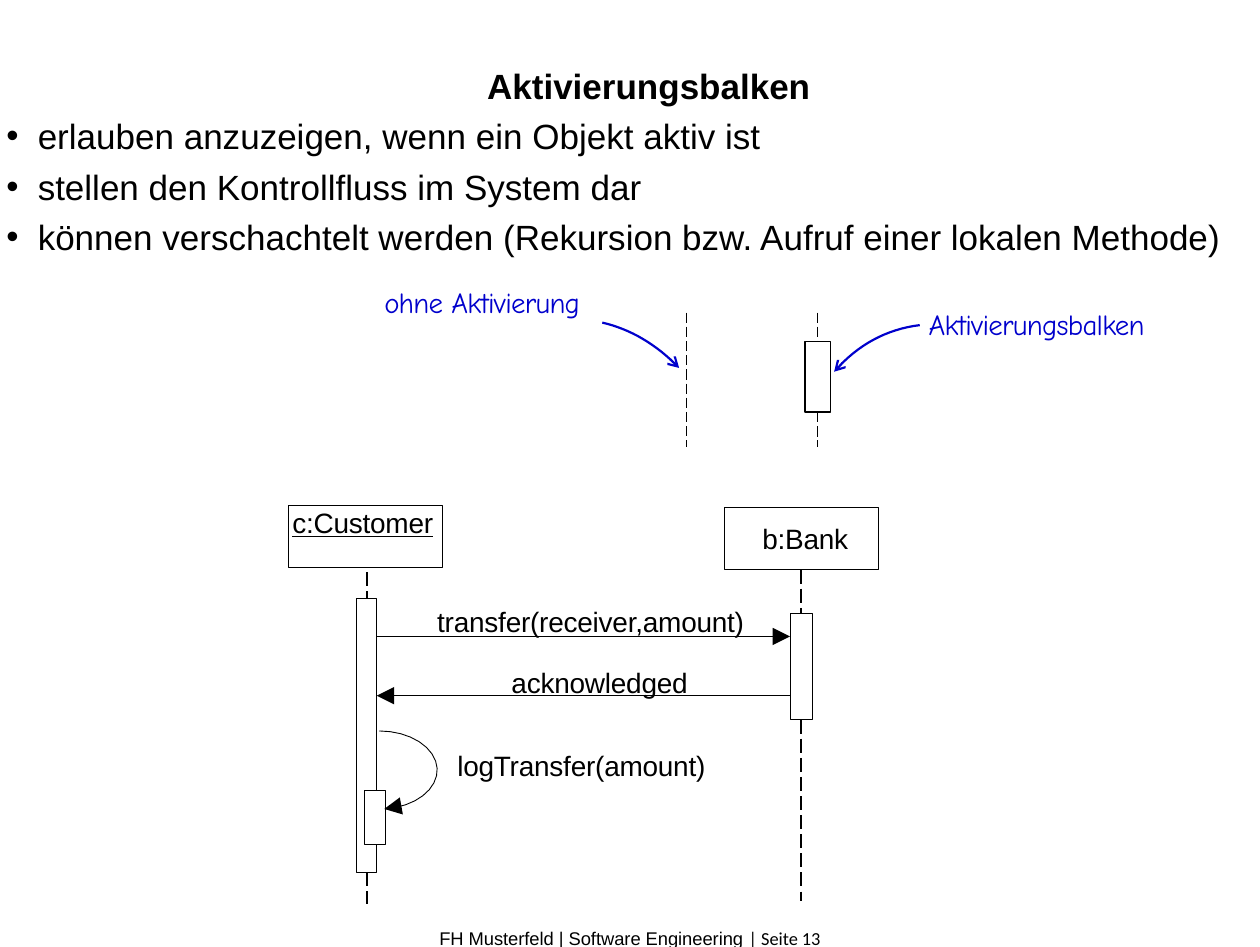
import math

from lxml import etree
from pptx import Presentation
from pptx.dml.color import RGBColor
from pptx.enum import dml, shapes as kinds, text
from pptx.oxml.ns import qn
from pptx.util import Inches, Pt

BLACK = RGBColor(0, 0, 0)
WHITE = RGBColor(255, 255, 255)
BLUE = RGBColor(0, 0, 0xCC)

TOP, BOTTOM = 0, 2
CURVE_STEPS = 16


def place(shape, left, top, width, height):
    shape.left, shape.top = Inches(left), Inches(top)
    shape.width, shape.height = Inches(width), Inches(height)


def prepare_frame(shape, inset=0, anchor=text.MSO_ANCHOR.TOP):
    frame = shape.text_frame
    frame.margin_left = Inches(inset)
    frame.margin_right = frame.margin_top = frame.margin_bottom = 0
    frame.word_wrap = True
    frame.vertical_anchor = anchor
    return frame


def set_font(font, size, name="Arial", color=BLACK):
    font.size, font.name = Pt(size), name
    font.color.rgb = color


def set_tracking(para, points):
    """Set the letter spacing of a paragraph whose font is already set."""
    defaults = para._p.pPr.find(qn("a:defRPr"))
    defaults.set("spc", str(round(points * 100)))


def set_line(line, width, color=BLACK):
    line.width = Pt(width)
    line.color.rgb = color


def add_arrowhead(line, head, size):
    """Put an arrowhead at the end of a line."""
    properties = line._get_or_add_ln()
    etree.SubElement(properties, qn("a:tailEnd"), type=head, w=size, len=size)


def add_title(slide, wording):
    title = slide.shapes.title
    place(title, 0.04, 0.51, 10.22, 0.32)
    frame = prepare_frame(title)
    frame.text = wording
    para = frame.paragraphs[0]
    para.alignment = text.PP_ALIGN.CENTER
    set_font(para.font, 20)
    para.font.bold = True


def add_bullets(slide, lines):
    box = slide.shapes.add_textbox(0, 0, 0, 0)
    place(box, 0.04, 0.91, 9.9, 1.15)
    frame = prepare_frame(box)
    frame.text = "\n".join(lines)
    for para in frame.paragraphs:
        set_font(para.font, 20)
        para.space_after = Pt(4.8)
        properties = para._p.get_or_add_pPr()
        properties.set("marL", str(Inches(0.26)))
        properties.set("indent", str(Inches(-0.25)))
        typeface = etree.Element(qn("a:buFont"), typeface="Arial")
        properties.find(qn("a:spcAft")).addnext(typeface)
        typeface.addnext(etree.Element(qn("a:buChar"), char="•"))


def add_label(slide, wording, left, top, width,
              size=16, name="Arial", color=BLACK, tracking=-0.1):
    box = slide.shapes.add_textbox(0, 0, 0, 0)
    place(box, left, top, width, 0.26)
    frame = prepare_frame(box)
    frame.text = wording
    para = frame.paragraphs[0]
    set_font(para.font, size, name, color)
    set_tracking(para, tracking)


def add_footer(slide):
    box = slide.shapes.add_textbox(0, 0, 0, 0)
    place(box, 0, 7.36, 10, 0.31)
    para = prepare_frame(box).paragraphs[0]
    para.alignment = text.PP_ALIGN.CENTER
    for wording, name in (("FH Musterfeld | Software Engineering ", "Arial"),
                          ("| Seite 13", "Calibri")):
        span = para.add_run()
        span.text = wording
        set_font(span.font, 10.5, name)


def add_rectangle(slide, left, top, width, height, line_width=0.5):
    box = slide.shapes.add_shape(kinds.MSO_SHAPE.RECTANGLE, 0, 0, 0, 0)
    place(box, left, top, width, height)
    box.shadow.inherit = False
    box.fill.solid()
    box.fill.fore_color.rgb = WHITE
    set_line(box.line, line_width)
    return box


def add_participant(slide, wording, left, top, inset, anchor, underline=False):
    box = add_rectangle(slide, left, top, 1.22, 0.49)
    frame = prepare_frame(box, inset, anchor)
    frame.text = wording
    para = frame.paragraphs[0]
    para.alignment = text.PP_ALIGN.LEFT
    set_font(para.font, 16)
    para.font.underline = underline
    set_tracking(para, -0.1)
    return box


def add_line(slide, start, end, width):
    points = [Inches(value) for value in (*start, *end)]
    line = slide.shapes.add_connector(kinds.MSO_CONNECTOR.STRAIGHT, *points)
    set_line(line.line, width)
    etree.SubElement(line._element.spPr, qn("a:effectLst"))
    return line


def add_lifeline(slide, x, top, bottom, width=1, above=None, below=None):
    """Draw a dashed vertical line, joined to the boxes above and below it."""
    line = add_line(slide, (x, top), (x, bottom), width)
    line.line.dash_style = dml.MSO_LINE.LONG_DASH
    if above is not None:
        line.begin_connect(above, BOTTOM)
    if below is not None:
        line.end_connect(below, TOP)


def add_message(slide, start_x, end_x, y):
    line = add_line(slide, (start_x, y), (end_x, y), 0.5)
    add_arrowhead(line.line, "triangle", "lg")


def add_curved_arrow(slide, points, width, color, head, size):
    scaled = [(Inches(x), Inches(y)) for x, y in points]
    builder = slide.shapes.build_freeform(*scaled[0])
    builder.add_line_segments(scaled[1:], close=False)
    curve = builder.convert_to_shape()
    curve.shadow.inherit = False
    curve.fill.background()
    set_line(curve.line, width, color)
    add_arrowhead(curve.line, head, size)


def bend(start, control, end):
    """Points of a quadratic Bézier curve."""
    steps = [step / CURVE_STEPS for step in range(CURVE_STEPS + 1)]
    return [tuple((1 - t) ** 2 * a + 2 * t * (1 - t) * b + t * t * c
                  for a, b, c in zip(start, control, end)) for t in steps]


def half_ellipse(x, y, radius_x, radius_y):
    """Points from the top of an ellipse round its right side to near its bottom."""
    angles = [math.radians(-90 + 175 * step / CURVE_STEPS)
              for step in range(CURVE_STEPS + 1)]
    return [(x + radius_x * math.cos(a), y + radius_y * math.sin(a)) for a in angles]


def add_notation_example(slide):
    add_lifeline(slide, 5.45, 2.48, 3.55, 0.75)
    bar = add_rectangle(slide, 6.39, 2.71, 0.2, 0.56, 0.75)
    add_lifeline(slide, 6.49, 2.48, 2.71, 0.75, below=bar)
    add_lifeline(slide, 6.49, 3.27, 3.55, 0.75, above=bar)
    for wording, left, top, width, curve in (
            ("ohne Aktivierung", 3.05, 2.26, 1.77,
             bend((4.78, 2.56), (5.12, 2.64), (5.39, 2.92))),
            ("Aktivierungsbalken", 7.37, 2.43, 2,
             bend((7.3, 2.58), (6.9, 2.63), (6.62, 2.95)))):
        add_label(slide, wording, left, top, width, 16.5, "Comic Neue", BLUE, -0.4)
        add_curved_arrow(slide, curve, 1.25, BLUE, "arrow", "med")


def add_sequence_diagram(slide):
    add_participant(slide, "c:Customer", 2.29, 4.01, 0.03,
                    text.MSO_ANCHOR.TOP, underline=True)
    bank = add_participant(slide, "b:Bank", 5.75, 4.03, 0.3, text.MSO_ANCHOR.MIDDLE)
    customer_bar = add_rectangle(slide, 2.83, 4.75, 0.16, 2.17)
    bank_bar = add_rectangle(slide, 6.27, 4.87, 0.18, 0.84)
    add_lifeline(slide, 2.91, 4.54, 4.75, below=customer_bar)
    add_lifeline(slide, 2.91, 6.92, 7.17, above=customer_bar)
    add_lifeline(slide, 6.36, 4.52, 4.87, above=bank, below=bank_bar)
    add_lifeline(slide, 6.36, 5.71, 7.15, above=bank_bar)

    add_message(slide, 2.99, 6.27, 5.05)
    add_message(slide, 6.27, 2.99, 5.52)
    add_rectangle(slide, 2.89, 6.27, 0.17, 0.43)
    add_curved_arrow(slide, half_ellipse(3.01, 6.11, 0.46, 0.31),
                     0.5, BLACK, "triangle", "lg")
    for wording, left, top in (("transfer(receiver,amount)", 3.47, 4.8),
                               ("acknowledged", 4.06, 5.28),
                               ("logTransfer(amount)", 3.63, 5.94)):
        add_label(slide, wording, left, top, 2.6)


def main():
    deck = Presentation()
    deck.slide_width, deck.slide_height = Inches(10), Pt(541)
    page = deck.slides.add_slide(deck.slide_layouts[5])
    add_title(page, "Aktivierungsbalken")
    add_bullets(page, ("erlauben anzuzeigen, wenn ein Objekt aktiv ist",
                       "stellen den Kontrollfluss im System dar",
                       "können verschachtelt werden "
                       "(Rekursion bzw. Aufruf einer lokalen Methode)"))
    add_notation_example(page)
    add_sequence_diagram(page)
    add_footer(page)
    deck.save("out.pptx")


if __name__ == "__main__":
    main()
